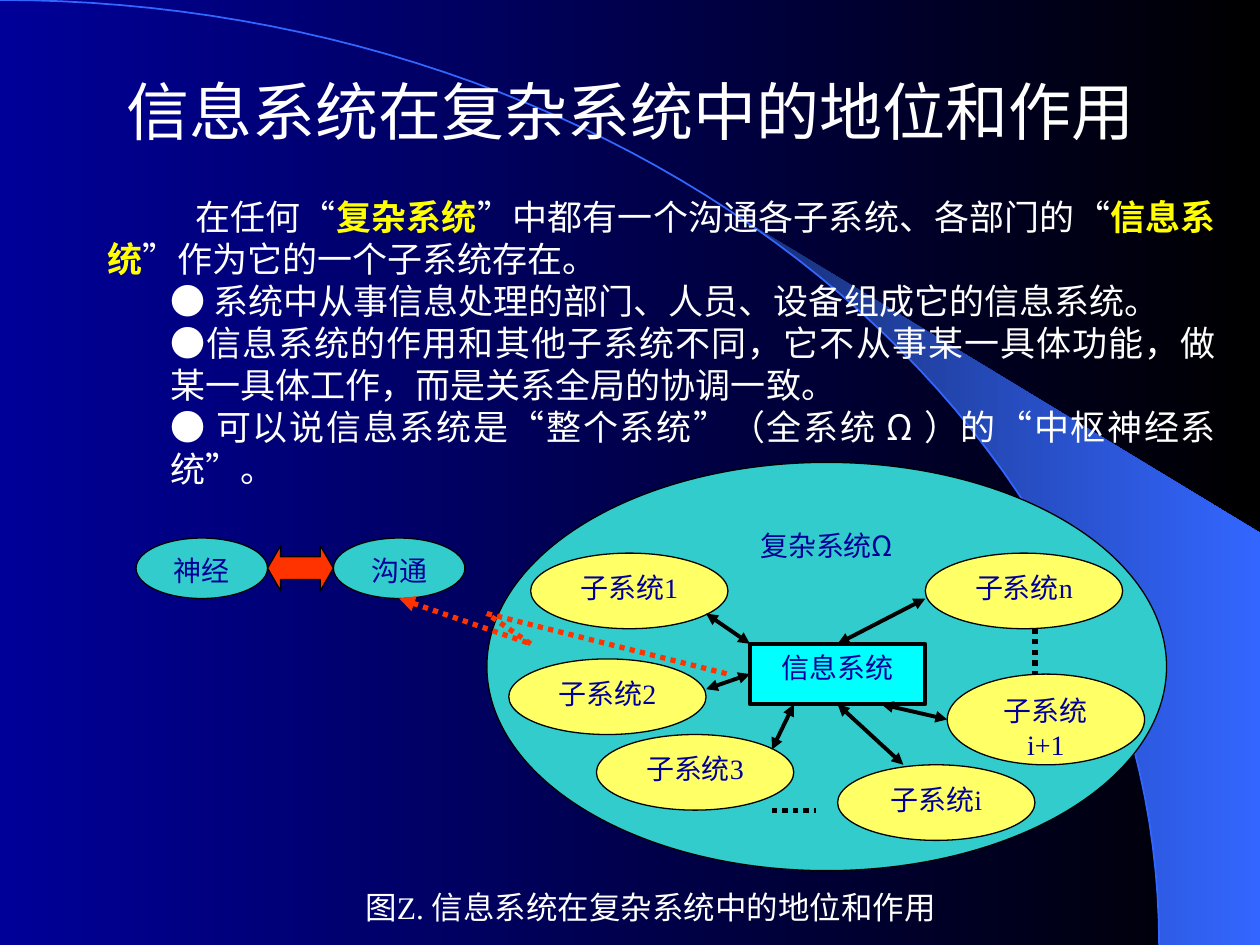
from dataclasses import dataclass
from math import asin, cos, pi, sin
from lxml.etree import SubElement
from pptx import Presentation
from pptx.dml.color import RGBColor
from pptx.enum.dml import MSO_LINE
from pptx.enum.shapes import MSO_CONNECTOR, MSO_SHAPE
from pptx.enum.text import MSO_ANCHOR, MSO_AUTO_SIZE, PP_ALIGN
from pptx.oxml.ns import qn
from pptx.util import Inches, Pt


@dataclass(frozen=True)
class Theme:
    navy: str = "000099"
    black: str = "000000"
    white: str = "FFFFFF"
    yellow: str = "FFFF00"
    blue: str = "3366FF"
    dusk: str = "182F76"
    teal: str = "33CCCC"
    lemon: str = "FFFF66"
    cyan: str = "00FFFF"
    red: str = "FF3300"
    serif: str = "Times New Roman"
    sans: str = "Arial"
    han: str = "Noto Sans CJK SC"
    head: int = 36
    body: int = 20
    note: int = 18
    label: int = 16
    thin: float = 0.75
    bold: float = 2.25
    dots: float = 3


T = Theme()
WIDE, HIGH = 10, 7.5
COL, ROW = 0.174, 0.12


def tint(color):
    return RGBColor.from_string(color)


def blend(fill, first, last):
    fill.gradient()
    fill.gradient_angle = 0
    for stop, color in zip(fill.gradient_stops, (first, last)):
        stop.color.rgb = tint(color)


def place(shape, box):
    shape.left, shape.top, shape.width, shape.height = map(Inches, box)


def write(para, runs, size, color, align=PP_ALIGN.CENTER):
    para.alignment = align
    para.font.size = Pt(size)
    para.font.name = T.serif
    para.font.color.rgb = tint(color)
    for text, face, hot in runs:
        run = para.add_run()
        run.text = text
        if face:
            run.font.name = face
        if hot:
            run.font.bold = True
            run.font.color.rgb = tint(T.yellow)


def plain(text):
    return [(text, None, False)]


def backdrop(slide, wide, high):
    blend(slide.background.fill, T.navy, T.black)

    def curve(start, steps=60):
        turns = (start + (pi / 2 - start) * i / steps for i in range(steps + 1))
        return [(Inches(wide * 0.92 * sin(t)), Inches(high * (1 - cos(t)))) for t in turns]

    def trace(points, closed):
        path = slide.shapes.build_freeform(*points[0])
        path.add_line_segments(points[1:], close=closed)
        shape = path.convert_to_shape()
        shape.shadow.inherit = False
        return shape

    edge = [(Inches(wide), Inches(high)), (Inches(wide), Inches(high * 0.564))]
    wing = trace(curve(asin(0.64)) + edge, True)
    blend(wing.fill, T.dusk, T.blue)
    wing.line.fill.background()
    arc = trace(curve(0), False)
    arc.fill.background()
    arc.line.color.rgb = tint(T.blue)
    arc.line.width = Pt(1)
    for spot, shape in enumerate((wing, arc), 2):
        slide.slide_layout.shapes.element.insert(spot, shape.element)


def title(slide, box):
    shape = slide.shapes.title
    place(shape, box)
    shape.text_frame.vertical_anchor = MSO_ANCHOR.MIDDLE
    write(shape.text_frame.paragraphs[0], plain("信息系统在复杂系统中的地位和作用"), T.head, T.white)


def body(slide, box):
    shape = slide.placeholders[1]
    place(shape, box)
    frame = shape.text_frame
    frame.auto_size = MSO_AUTO_SIZE.NONE
    dot = ("● ", T.sans, False)
    items = [
        (1, 0.5, 0.7, [("在任何“", None, False), ("复杂系统", None, True),
                       ("”中都有一个沟通各子系统、各部门的“", None, False),
                       ("信息系统", None, True), ("”作为它的一个子系统存在。", None, False)]),
        (2, 1, 0, [dot] + plain("系统中从事信息处理的部门、人员、设备组成它的信息系统。")),
        (2, 1, 0, [("●", T.sans, False)] + plain(
            "信息系统的作用和其他子系统不同，它不从事某一具体功能，做某一具体工作，而是关系全局的协调一致。")),
        (2, 1, 0, [dot, ("可以说信息系统是", T.han, False), ("“", None, False),
                   ("整个系统", T.han, False), ("”", None, False),
                   ("（全系统 Ω ）的", T.han, False), ("“", None, False),
                   ("中枢神经系统", T.han, False), ("”", None, False), ("。", T.han, False)]),
    ]
    for i, (level, left, first, runs) in enumerate(items):
        para = frame.add_paragraph() if i else frame.paragraphs[0]
        para.level = level
        para.space_before = Pt(0)
        props = para._p.get_or_add_pPr()
        props.set("marL", str(Inches(left)))
        props.set("indent", str(Inches(first)))
        SubElement(props, qn("a:buNone"))
        write(para, runs, T.body, T.white, PP_ALIGN.JUSTIFY)


def caption(slide, box):
    frame = slide.shapes.add_textbox(*map(Inches, box)).text_frame
    frame.word_wrap = True
    write(frame.paragraphs[0], plain("图Z. 信息系统在复杂系统中的地位和作用"), T.note, T.white)


def diagram(slide, left, top):
    def at(col, row):
        return Inches(left + col * COL), Inches(top + row * ROW)

    def node(cell, fill, runs=(), kind=MSO_SHAPE.OVAL, line=T.thin):
        col, row, cols, rows = cell
        shape = slide.shapes.add_shape(kind, *at(col, row), Inches(cols * COL), Inches(rows * ROW))
        shape.shadow.inherit = False
        shape.fill.solid()
        shape.fill.fore_color.rgb = tint(fill)
        shape.line.color.rgb = tint(T.black)
        shape.line.width = Pt(line)
        if runs:
            shape.text_frame.vertical_anchor = MSO_ANCHOR.TOP
            write(shape.text_frame.paragraphs[0], runs, T.label, T.navy)
        return shape

    def link(start, end, color=T.black, width=T.dots, dash=True, tips=()):
        line = slide.shapes.add_connector(MSO_CONNECTOR.STRAIGHT, *at(*start), *at(*end))
        line.line.color.rgb = tint(color)
        line.line.width = Pt(width)
        if dash:
            line.line.dash_style = MSO_LINE.ROUND_DOT
        for tip in tips:
            SubElement(line.line._get_or_add_ln(), qn("a:" + tip), type="triangle")
        SubElement(line.element.spPr, qn("a:effectLst"))
        return line

    node((16, 0, 31, 27), T.teal, plain("复杂系统") + [("Ω", T.han, False)])
    parts = [("1", 18, 6, 5), ("2", 17, 13, 5), ("3", 21, 18, 5),
             ("i", 32, 20, 5), ("n", 36, 6, 5), ("i+1", 37, 14, 6)]
    for name, col, row, rows in parts:
        node((col, row, 9, rows), T.lemon, plain("子系统" + name))
    link((29, 23), (31, 23))
    link((41, 11), (41, 14))

    for name, col in (("神经", 0), ("沟通", 9)):
        node((col, 5, 6, 4), T.teal, plain(name))
    arrow = node((6, 5.5, 3, 3), T.red, kind=MSO_SHAPE.LEFT_RIGHT_ARROW)
    arrow.adjustments[0], arrow.adjustments[1] = 0.5, 0.288

    bolt = [(12, 9), (18, 12), (16, 10), (27, 14)]
    for i, (start, end) in enumerate(zip(bolt, bolt[1:])):
        link(start, end, T.red, tips=() if i else ("headEnd",))

    core = node((28, 12, 8, 4), T.cyan, plain("信息系统"), MSO_SHAPE.RECTANGLE, T.bold)
    spokes = [((26, 10), (28, 12), None), ((26, 15), (28, 14), 1), ((29, 19), (30, 16), None),
              ((35, 20), (32, 16), 2), ((34, 16), (37, 17), None), ((36, 9), (32, 12), 0)]
    for start, end, side in spokes:
        line = link(start, end, width=T.bold, dash=False, tips=("headEnd", "tailEnd"))
        if side is not None:
            line.end_connect(core, side)


def main():
    deck = Presentation()
    deck.slide_width, deck.slide_height = Inches(WIDE), Inches(HIGH)
    slide = deck.slides.add_slide(deck.slide_layouts[1])
    backdrop(slide, WIDE, HIGH)
    title(slide, (0.75, 0.25, 8.5, 1.25))
    body(slide, (0.25, 1.5, 9.5, 2.44))
    caption(slide, (1.75, 7, 6.83, 0.4))
    diagram(slide, 1.08, 3.67)
    deck.save("out.pptx")


if __name__ == "__main__":
    main()
